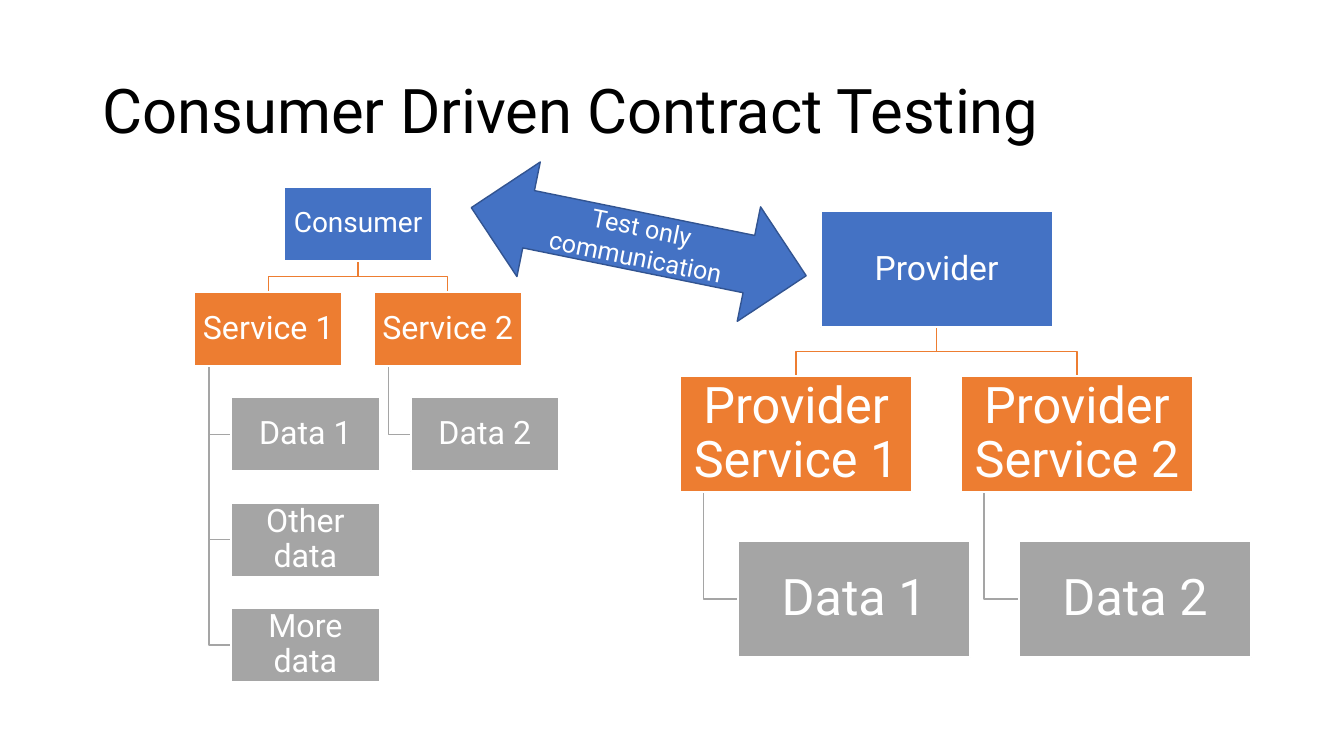
from pptx import Presentation
from pptx import util as u
from pptx.dml.color import RGBColor
from pptx.enum import shapes, text

COLORS = {
    "root": "4472C4",
    "service": "ED7D31",
    "data": "A5A5A5",
    "edge": "325491",
    "white": "FFFFFF",
    "black": "000000",
}
FONT = "Roboto"


class ContractSlide:
    def __init__(self, deck):
        self.slide = deck.slides.add_slide(deck.slide_layouts[5])

    def color(self, name):
        return RGBColor.from_string(COLORS[name])

    def label(self, shape, words, size, color="white", align=text.PP_ALIGN.CENTER,
              spacing=0.9, inset=None):
        frame = shape.text_frame
        frame.text = words
        frame.word_wrap = True
        frame.auto_size = text.MSO_AUTO_SIZE.NONE
        frame.vertical_anchor = text.MSO_ANCHOR.MIDDLE
        if inset is not None:
            frame.margin_left = frame.margin_right = u.Pt(inset)
            frame.margin_top = frame.margin_bottom = u.Pt(inset)
        paragraph = frame.paragraphs[0]
        paragraph.alignment = align
        paragraph.line_spacing = spacing
        font = paragraph.runs[0].font
        font.name = FONT
        font.size = u.Pt(size)
        font.color.rgb = self.color(color)

    def title(self, words, left, top, width, height):
        heading = self.slide.shapes.title
        heading.left, heading.top = u.Pt(left), u.Pt(top)
        heading.width, heading.height = u.Pt(width), u.Pt(height)
        self.label(heading, words, 44, "black", text.PP_ALIGN.LEFT)

    def shape(self, kind, left, top, width, height, fill, line, weight):
        block = self.slide.shapes.add_shape(
            kind, u.Pt(left), u.Pt(top), u.Pt(width), u.Pt(height))
        block.shadow.inherit = False
        block.fill.solid()
        block.fill.fore_color.rgb = self.color(fill)
        block.line.color.rgb = self.color(line)
        block.line.width = u.Pt(weight)
        return block

    def box(self, words, left, top, width, level, size):
        block = self.shape(shapes.MSO_SHAPE.RECTANGLE, left, top, width, width / 2,
                           level, "white", 1.5)
        self.label(block, words, size, inset=1.5)

    def branch(self, points, level):
        start, *rest = [(u.Pt(x), u.Pt(y)) for x, y in points]
        builder = self.slide.shapes.build_freeform(*start)
        builder.add_line_segments(rest, close=False)
        route = builder.convert_to_shape()
        route.shadow.inherit = False
        route.fill.background()
        route.line.color.rgb = self.color(level)
        route.line.width = u.Pt(1)

    def tree(self, root, services, left, top, width, root_size, child_size):
        height, row, column = width / 2, 0.71 * width, 1.21 * width
        indent, spine = 0.25 * width, 0.1 * width
        root_left = left + column / 2
        root_center, root_bottom = root_left + width / 2, top + height
        service_top = top + row
        fork = (root_bottom + service_top) / 2
        boxes = [(root, root_left, top, width, "root", root_size)]
        for index, (service, items) in enumerate(services.items()):
            x = left + index * column
            center = x + width / 2
            self.branch([(root_center, root_bottom), (root_center, fork),
                         (center, fork), (center, service_top)], "service")
            boxes.append((service, x, service_top, width, "service", child_size))
            for step, item in enumerate(items, 1):
                y = service_top + step * row
                middle = y + height / 2
                self.branch([(x + spine, service_top + height), (x + spine, middle),
                             (x + indent, middle)], "data")
                boxes.append((item, x + indent, y, width, "data", child_size))
        for box in boxes:
            self.box(*box)

    def arrow(self, words, left, top, width, height, angle):
        link = self.shape(shapes.MSO_SHAPE.LEFT_RIGHT_ARROW, left, top, width, height,
                          "root", "edge", 1)
        link.rotation = angle
        self.label(link, words, 18, spacing=1.0)


def main():
    deck = Presentation()
    deck.slide_width, deck.slide_height = u.Pt(960), u.Pt(540)
    page = ContractSlide(deck)
    page.title("Consumer Driven Contract Testing", 66, 28.8, 828, 104.4)
    page.tree("Consumer",
              {"Service 1": ["Data 1", "Other data", "More data"],
               "Service 2": ["Data 2"]},
              138.8, 133.4, 105.9, 20, 23)
    page.tree("Provider",
              {"Provider Service 1": ["Data 1"], "Provider Service 2": ["Data 2"]},
              485.8, 151, 165.8, 24, 36)
    page.arrow("Test only communication", 334.2, 130.9, 244.1, 83.5, 11.5)
    deck.save("out.pptx")


if __name__ == "__main__":
    main()
